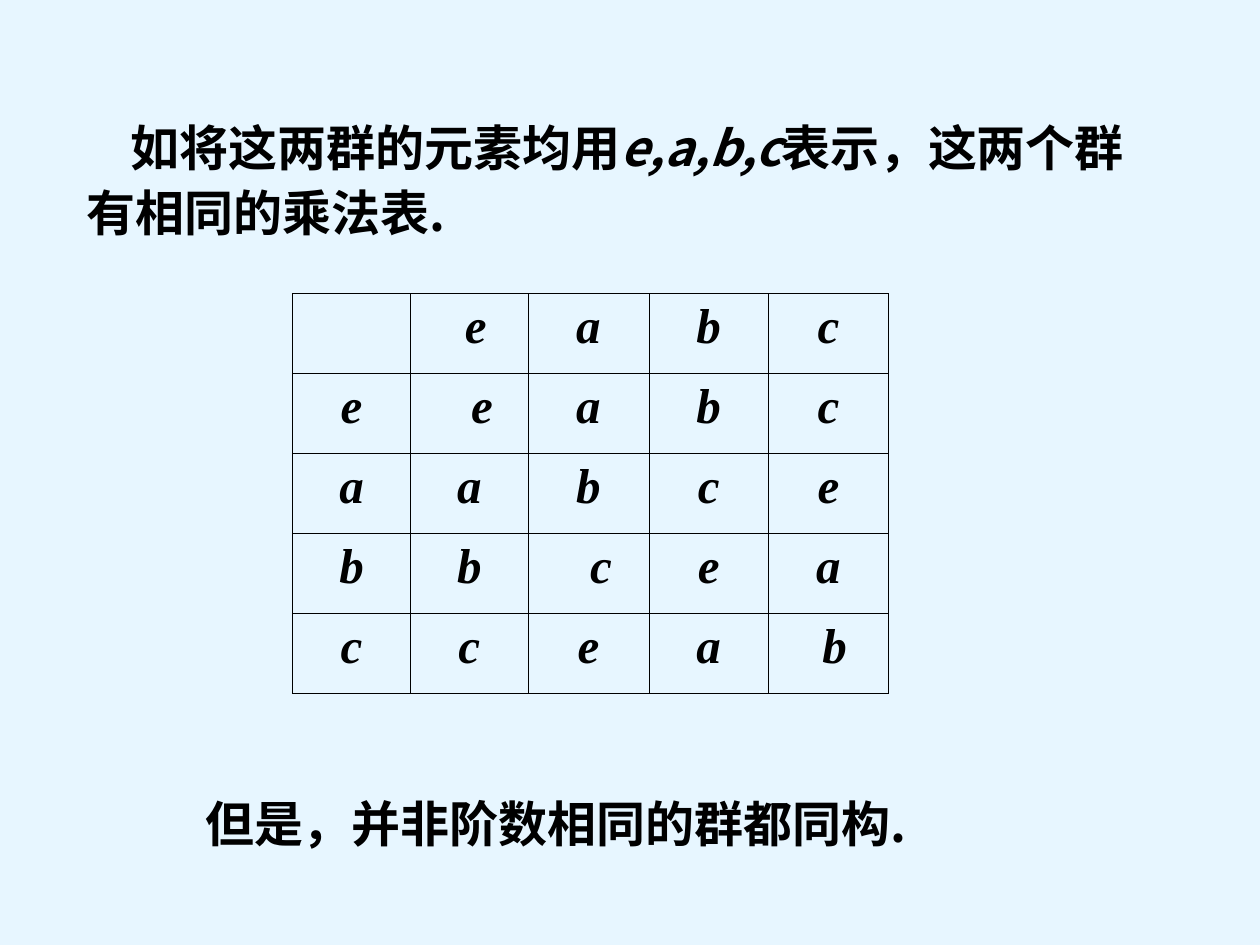
import pptx
import pptx.util
import pptx.dml.color
import pptx.enum.text
import pptx.oxml.ns
import lxml.etree

WIDTH, HEIGHT = 10, 7.5
BACKGROUND, INK = "E7F6FF", "000000"
CHINESE, LATIN = "Noto Sans CJK SC", "Times New Roman"
TEXT_SIZE, BORDER_WIDTH = 28, 0.45

statements = [
    dict(box=(0.59, 0.84, 8.66, 1.13), indent=0.35, spacing=1.1,
         runs=[("如将这两群的元素均用", False), ("e,a,b,c", True),
               ("表示，这两个群有相同的乘法表.", False)]),
    dict(box=(1.53, 6.25, 6.93, 0.57), indent=0, spacing=1.0,
         runs=[("但是，并非阶数相同的群都同构.", False)]),
]
products = [" eabc", "eeabc", "aabce", "bbcea", "cceab"]
extra_left = {(0, 1): 0.1, (1, 1): 0.2, (3, 2): 0.2, (4, 4): 0.1}
table_left, table_top, table_height = 2.32, 2.33, 3.17
column_widths = [0.94, 0.93, 0.96, 0.95, 0.95]


def inches(value):
    return pptx.util.Inches(value)


def color(value):
    return pptx.dml.color.RGBColor.from_string(value)


def add_run(paragraph, text, font_name, italic):
    run = paragraph.add_run()
    run.text = text
    font = run.font
    font.name, font.size = font_name, pptx.util.Pt(TEXT_SIZE)
    font.bold, font.italic = True, italic
    font.color.rgb = color(INK)
    east_asian = lxml.etree.SubElement(font._element, pptx.oxml.ns.qn("a:ea"))
    east_asian.set("typeface", font_name)


def add_statement(slide, box, indent, spacing, runs):
    shape = slide.shapes.add_textbox(*map(inches, box))
    shape.text_frame.word_wrap = True
    paragraph = shape.text_frame.paragraphs[0]
    paragraph.line_spacing = spacing
    paragraph._p.get_or_add_pPr().set("indent", str(inches(indent)))
    for text, italic in runs:
        add_run(paragraph, text, CHINESE, italic)


def add_borders(cell):
    properties = cell._tc.get_or_add_tcPr()
    for position, side in enumerate(("lnL", "lnR", "lnT", "lnB")):
        line = lxml.etree.Element(pptx.oxml.ns.qn("a:" + side))
        line.set("w", str(pptx.util.Pt(BORDER_WIDTH)))
        fill = lxml.etree.SubElement(line, pptx.oxml.ns.qn("a:solidFill"))
        lxml.etree.SubElement(fill, pptx.oxml.ns.qn("a:srgbClr")).set("val", INK)
        properties.insert(position, line)


def add_product_table(slide):
    table = slide.shapes.add_table(
        len(products), len(column_widths), inches(table_left), inches(table_top),
        inches(sum(column_widths)), inches(table_height)).table
    table.first_row = table.horz_banding = False
    for column, width in zip(table.columns, column_widths):
        column.width = inches(width)
    for row_index, elements in enumerate(products):
        table.rows[row_index].height = inches(table_height / len(products))
        for column_index, element in enumerate(elements):
            cell = table.cell(row_index, column_index)
            cell.fill.background()
            cell.margin_left = inches(0.1 + extra_left.get((row_index, column_index), 0))
            add_borders(cell)
            if element.strip():
                paragraph = cell.text_frame.paragraphs[0]
                paragraph.alignment = pptx.enum.text.PP_ALIGN.CENTER
                paragraph.space_before = pptx.util.Pt(7)
                add_run(paragraph, element, LATIN, True)


presentation = pptx.Presentation()
presentation.slide_width, presentation.slide_height = inches(WIDTH), inches(HEIGHT)
slide = presentation.slides.add_slide(presentation.slide_layouts[6])
slide.background.fill.solid()
slide.background.fill.fore_color.rgb = color(BACKGROUND)
add_statement(slide, **statements[0])
add_product_table(slide)
add_statement(slide, **statements[1])
presentation.save("out.pptx")
